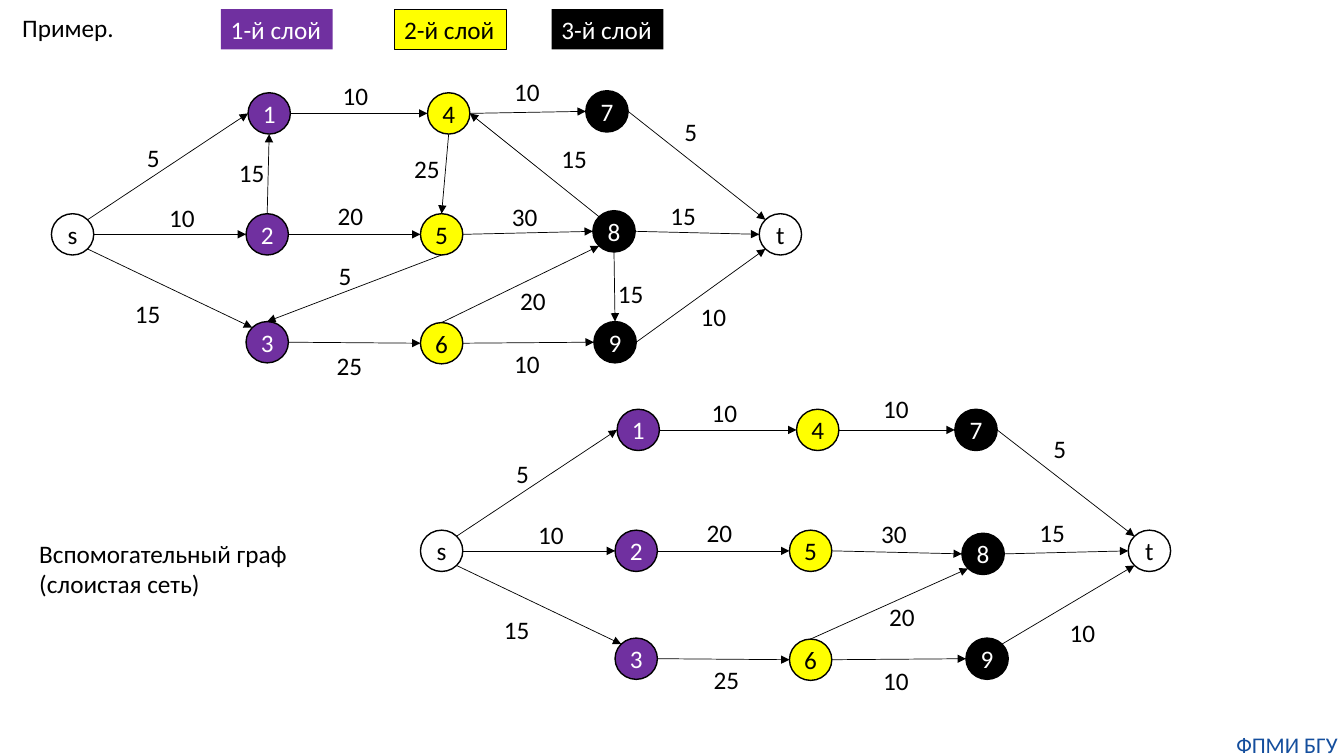
from dataclasses import dataclass
from math import cos, pi, sin

from lxml.etree import SubElement
from pptx import Presentation
from pptx.dml.color import RGBColor
from pptx.enum.shapes import MSO_CONNECTOR, MSO_SHAPE
from pptx.enum.text import MSO_ANCHOR, PP_ALIGN
from pptx.oxml.ns import qn
from pptx.util import Inches, Pt


@dataclass(frozen=True)
class Theme:
    font: str = "Calibri"
    black: RGBColor = RGBColor(0, 0, 0)
    white: RGBColor = RGBColor(255, 255, 255)
    purple: RGBColor = RGBColor(0x70, 0x30, 0xA0)
    yellow: RGBColor = RGBColor(255, 255, 0)
    blue: RGBColor = RGBColor(0x14, 0x4E, 0x9D)
    body: Pt = Pt(18)
    foot: Pt = Pt(16)
    ring: Pt = Pt(1)
    frame: Pt = Pt(0.75)
    edge: Pt = Pt(0.5)


THEME = Theme()
WIDE, HIGH = 0.42, 0.41
TOP, TOP_LEFT, LEFT, LOW_LEFT, LOW, LOW_RIGHT, RIGHT, TOP_RIGHT = range(8)

INKS = {
    "plain": (None, THEME.black),
    "first": (THEME.purple, THEME.white),
    "second": (THEME.yellow, THEME.black),
    "third": (THEME.black, THEME.white),
}
LAYERS = {
    "s": "plain", "t": "plain",
    **dict.fromkeys("123", "first"),
    **dict.fromkeys("456", "second"),
    **dict.fromkeys("789", "third"),
}
NODES = {
    "s": (0.51, 2.12), "t": (7.53, 2.12),
    "1": (2.46, 0.92), "2": (2.44, 2.12), "3": (2.44, 3.19),
    "4": (4.24, 0.92), "5": (4.17, 2.12), "6": (4.17, 3.2),
    "7": (5.81, 0.9), "8": (5.88, 2.09), "9": (5.89, 3.19),
}
MOVED = {"7": (5.81, 0.92), "8": (5.88, 2.15), "9": (5.92, 3.19)}

SHARED = [
    ("s", TOP_RIGHT, "1", LEFT, "5", 1.36, 1.36),
    ("1", RIGHT, "4", LEFT, "10", 3.3, 0.75),
    ("4", RIGHT, "7", LEFT, "10", 5, 0.71),
    ("7", RIGHT, "t", TOP_LEFT, "5", 6.69, 1.11),
    ("s", RIGHT, "2", LEFT, "10", 1.58, 1.96),
    ("2", RIGHT, "5", LEFT, "20", 3.25, 1.94),
    ("5", RIGHT, "8", LEFT, "30", 4.98, 1.95),
    ("8", RIGHT, "t", LEFT, "15", 6.55, 1.94),
    ("s", LOW_RIGHT, "3", TOP_LEFT, "15", 1.24, 2.91),
    ("6", RIGHT, "9", LEFT, "10", 5, 3.41),
    ("6", TOP, "8", LOW_LEFT, "20", 5.06, 2.78),
]
FULL = SHARED + [
    ("3", RIGHT, "6", LEFT, "25", 3.24, 3.43),
    ("9", RIGHT, "t", LOW_LEFT, "10", 6.85, 2.94),
    ("2", TOP, "1", LOW, "15", 2.27, 1.51),
    ("4", LOW, "5", TOP, "25", 4.01, 1.47),
    ("8", TOP_LEFT, "4", RIGHT, "15", 5.47, 1.37),
    ("5", LOW, "3", TOP, "5", 3.26, 2.53),
    ("8", LOW, "9", TOP, "15", 6.03, 2.71),
]
LAYERED = SHARED + [
    ("3", RIGHT, "6", LEFT, "25", 3.32, 3.4),
    ("9", TOP_RIGHT, "t", LOW_LEFT, "10", 6.85, 2.94),
]
KEYS = [
    ("1-й слой", 2.19, "first", None),
    ("2-й слой", 3.91, "second", THEME.black),
    ("3-й слой", 5.47, "third", None),
]


def write(frame, lines, ink=THEME.black, size=THEME.body, align=PP_ALIGN.LEFT, inset=None):
    frame.word_wrap = False
    if inset is not None:
        frame.margin_left = frame.margin_right = inset
        frame.margin_top = frame.margin_bottom = inset
    for i, line in enumerate(lines):
        para = frame.paragraphs[0] if i == 0 else frame.add_paragraph()
        para.alignment = align
        run = para.add_run()
        run.text = line
        run.font.name = THEME.font
        run.font.size = size
        run.font.color.rgb = ink


def add_text(slide, box, lines, **style):
    label = slide.shapes.add_textbox(*map(Inches, box))
    write(label.text_frame, lines, **style)


def add_block(slide, kind, box, fill, line, width):
    block = slide.shapes.add_shape(kind, *map(Inches, box))
    block.shadow.inherit = False
    if fill is None:
        block.fill.background()
    else:
        block.fill.solid()
        block.fill.fore_color.rgb = fill
    if line is None:
        block.line.fill.background()
    else:
        block.line.color.rgb = line
        block.line.width = width
    return block


def add_node(slide, name, left, top):
    fill, ink = INKS[LAYERS[name]]
    node = add_block(slide, MSO_SHAPE.OVAL, (left, top, WIDE, HIGH), fill, THEME.black, THEME.ring)
    node.text_frame.vertical_anchor = MSO_ANCHOR.MIDDLE
    write(node.text_frame, [name], ink=ink, align=PP_ALIGN.CENTER, inset=0)
    return node


def add_key(slide, text, left, layer, line):
    fill, ink = INKS[layer]
    key = add_block(slide, MSO_SHAPE.RECTANGLE, (left, 0.09, 1.11, 0.4), fill, line, THEME.frame)
    write(key.text_frame, [text], ink=ink)


def rim(node, site):
    turn = pi / 2 + site * pi / 4
    across = node.left + node.width / 2 * (1 + cos(turn))
    down = node.top + node.height / 2 * (1 - sin(turn))
    return round(across), round(down)


def add_edge(slide, start, exit, end, entry):
    edge = slide.shapes.add_connector(MSO_CONNECTOR.STRAIGHT, *rim(start, exit), *rim(end, entry))
    edge.line.color.rgb = THEME.black
    edge.line.width = THEME.edge
    SubElement(edge.line._get_or_add_ln(), qn("a:tailEnd"), type="triangle")
    SubElement(edge._element.spPr, qn("a:effectLst"))
    joints = edge._element.nvCxnSpPr.cNvCxnSpPr
    for tag, node, site in (("a:stCxn", start, exit), ("a:endCxn", end, entry)):
        SubElement(joints, qn(tag), id=str(node.shape_id), idx=str(site))


def add_graph(slide, places, edges, right=0, down=0):
    nodes = {name: add_node(slide, name, x + right, y + down) for name, (x, y) in places.items()}
    for start, exit, end, entry, weight, x, y in edges:
        add_edge(slide, nodes[start], exit, nodes[end], entry)
        width = 0.2 + 0.13 * len(weight)
        add_text(slide, (x + right, y + down, width, 0.4), [weight])


def add_title(slide, text):
    title = slide.shapes.title
    title.left, title.top, title.width, title.height = map(Inches, (0.12, 0.07, 1.12, 0.4))
    title.text_frame.vertical_anchor = MSO_ANCHOR.TOP
    write(title.text_frame, [text])


def main():
    deck = Presentation()
    deck.slide_width, deck.slide_height = Inches(13.33), Inches(7.5)
    slide = deck.slides.add_slide(deck.slide_layouts[5])
    add_title(slide, "Пример.")
    for key in KEYS:
        add_key(slide, *key)
    add_graph(slide, NODES, FULL)
    add_graph(slide, NODES | MOVED, LAYERED, 3.66, 3.14)
    add_text(slide, (0.29, 5.29, 2.75, 0.71), ["Вспомогательный граф", "(слоистая сеть)"])
    add_text(slide, (12.2, 7.25, 1.13, 0.27), ["ФПМИ БГУ"], ink=THEME.blue,
             size=THEME.foot, align=PP_ALIGN.CENTER, inset=0)
    deck.save("out.pptx")


if __name__ == "__main__":
    main()
